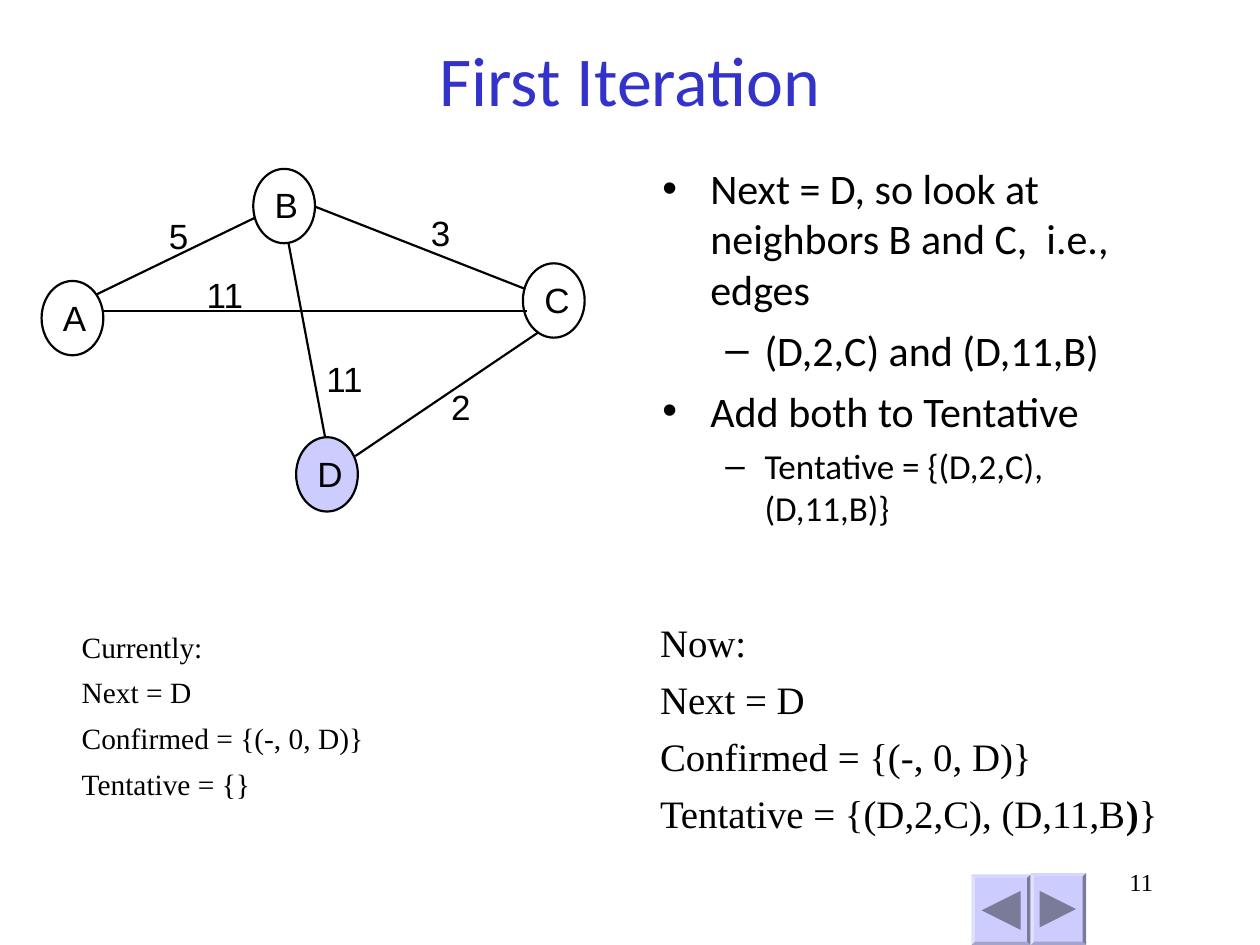
from lxml.etree import SubElement
from pptx import Presentation
from pptx.dml.color import RGBColor
from pptx.enum.shapes import MSO_CONNECTOR as Link, MSO_SHAPE as Preset
from pptx.enum.text import MSO_ANCHOR as Anchor, PP_ALIGN as Align
from pptx.oxml.ns import qn
from pptx.util import Inches, Pt

SERIF = "Times New Roman"
LILAC = "CCCCFF"


def rgb(value):
    """Turn a hex string into a colour."""
    return RGBColor.from_string(value)


def write(paragraph, text, size=20, font="Arial", color="000000", bold=False,
          align=Align.LEFT, before=0, level=0, bullet=None, hanging=None):
    """Add a run of text to a paragraph and set the format of both."""
    run = paragraph.add_run()
    run.text = text
    run.font.size, run.font.name, run.font.bold = Pt(size), font, bold
    run.font.color.rgb = rgb(color)
    paragraph.alignment, paragraph.level = align, level
    paragraph.space_before = Pt(before)
    if bullet:
        properties = paragraph._p.get_or_add_pPr()
        margin, indent = hanging
        properties.set("marL", str(Inches(margin)))
        properties.set("indent", str(Inches(indent)))
        SubElement(properties, qn("a:buFont"), typeface="Arial")
        SubElement(properties, qn("a:buChar"), char=bullet)


class GraphSlide:
    """Hold the current slide and draw its elements in one style."""

    def __init__(self, slide, line_color="000000", line_width=1.25):
        """Keep the slide and the line style."""
        self.slide = slide
        self.line_color, self.line_width = line_color, line_width

    def outline(self, line):
        """Apply the line style."""
        line.color.rgb, line.width = rgb(self.line_color), Pt(self.line_width)

    def shape(self, preset, box, fill=None):
        """Add a preset shape without line or shadow."""
        shape = self.slide.shapes.add_shape(preset, *map(Inches, box))
        shape.shadow.inherit = False
        shape.line.fill.background()
        if fill:
            shape.fill.solid()
            shape.fill.fore_color.rgb = rgb(fill)
        else:
            shape.fill.background()
        return shape

    def text(self, box, paragraphs, anchor=Anchor.TOP, inset=True, **style):
        """Add a text box; each paragraph is a list of (text, format) runs."""
        frame = self.slide.shapes.add_textbox(*map(Inches, box)).text_frame
        frame.word_wrap, frame.vertical_anchor = inset, anchor
        if not inset:
            frame.margin_left = frame.margin_right = 0
            frame.margin_top = frame.margin_bottom = 0
        for number, runs in enumerate(paragraphs):
            paragraph = frame.add_paragraph() if number else frame.paragraphs[0]
            for words, extra in runs:
                write(paragraph, words, **{**style, **extra})

    def label(self, text, left, top):
        """Add a short label of the graph."""
        self.text((left, top, 0.16 * len(text), 0.33), [[(text, {})]], inset=False)

    def node(self, name, left, top, fill=None):
        """Add a round node with its name."""
        self.outline(self.shape(Preset.OVAL, (left, top, 0.49, 0.59), fill).line)
        self.label(name, left + 0.17, top + 0.12)

    def edge(self, start, end):
        """Add a straight edge."""
        edge = self.slide.shapes.add_connector(
            Link.STRAIGHT, *map(Inches, (*start, *end)))
        self.outline(edge.line)
        SubElement(edge._element.spPr, qn("a:effectLst"))

    def button(self, box, arrow_box, rotation):
        """Add a bevelled button with an arrow."""
        self.shape(Preset.BEVEL, box, LILAC).adjustments[0] = 0.06
        arrow = self.shape(Preset.ISOSCELES_TRIANGLE, arrow_box, "7A7A99")
        arrow.rotation = rotation


def main():
    """Build the slide and save it."""
    deck = Presentation()
    deck.slide_width, deck.slide_height = Inches(10), Inches(7.5)
    graph = GraphSlide(deck.slides.add_slide(deck.slide_layouts[6]))

    graph.button((7.71, 6.94, 0.47, 0.56), (7.79, 7.07, 0.31, 0.31), 270)
    graph.button((8.18, 6.93, 0.44, 0.57), (8.25, 7.07, 0.29, 0.29), 90)
    graph.text((7.17, 6.83, 2.08, 0.5), [[("11", {})]],
               size=14, font=SERIF, align=Align.RIGHT)
    graph.text((0.75, 0, 8.5, 1.25), [[("First Iteration", {})]], Anchor.MIDDLE,
               size=40, font="Calibri", color="3333CC", align=Align.CENTER)

    point = dict(bullet="•", hanging=(0.38, -0.38))
    detail = dict(bullet="–", hanging=(0.81, -0.31), level=1)
    graph.text((5.16, 1.24, 4.03, 3.35), [
        [("Next = D, so look at neighbors B and C,  i.e., edges", point)],
        [("(D,2,C) and (D,11,B)", detail)],
        [("Add both to Tentative", point)],
        [("Tentative = {(D,2,C), (D,11,B)}", {**detail, "size": 20, "before": 5})],
    ], size=24, font="Calibri", before=6)

    for name, left, top, fill in [("D", 2.35, 3.47, LILAC), ("A", 0.33, 2.23, None),
                                  ("B", 2.01, 1.34, None), ("C", 4.15, 2.09, None)]:
        graph.node(name, left, top, fill)

    for start, end, cost, left, top in [
        ((0.76, 2.34), (2.02, 1.73), "5", 1.34, 1.7),
        ((2.5, 1.64), (4.16, 2.29), "3", 3.42, 1.68),
        ((0.81, 2.47), (4.18, 2.47), "11", 1.64, 2.17),
        ((2.29, 1.93), (2.58, 3.47), "11", 2.59, 2.84),
        ((4.27, 2.64), (2.82, 3.62), "2", 3.58, 3.06),
    ]:
        graph.edge(start, end)
        graph.label(cost, left, top)

    shared = [[("Next = D", {})], [("Confirmed = {(-, 0, D)}", {})]]
    graph.text((0.55, 4.94, 4.01, 1.51),
               [[("Currently:", {})], *shared, [("Tentative = {}", {})]],
               size=16.8, font=SERIF, before=6)
    graph.text((5.14, 4.86, 4.6, 1.91),
               [[("Now:", {})], *shared,
                [("Tentative = {(D,2,C), (D,11,B", {}), (")", {"bold": True}), ("}", {})]],
               size=22.2, font=SERIF, before=6)

    deck.save("out.pptx")


if __name__ == "__main__":
    main()
